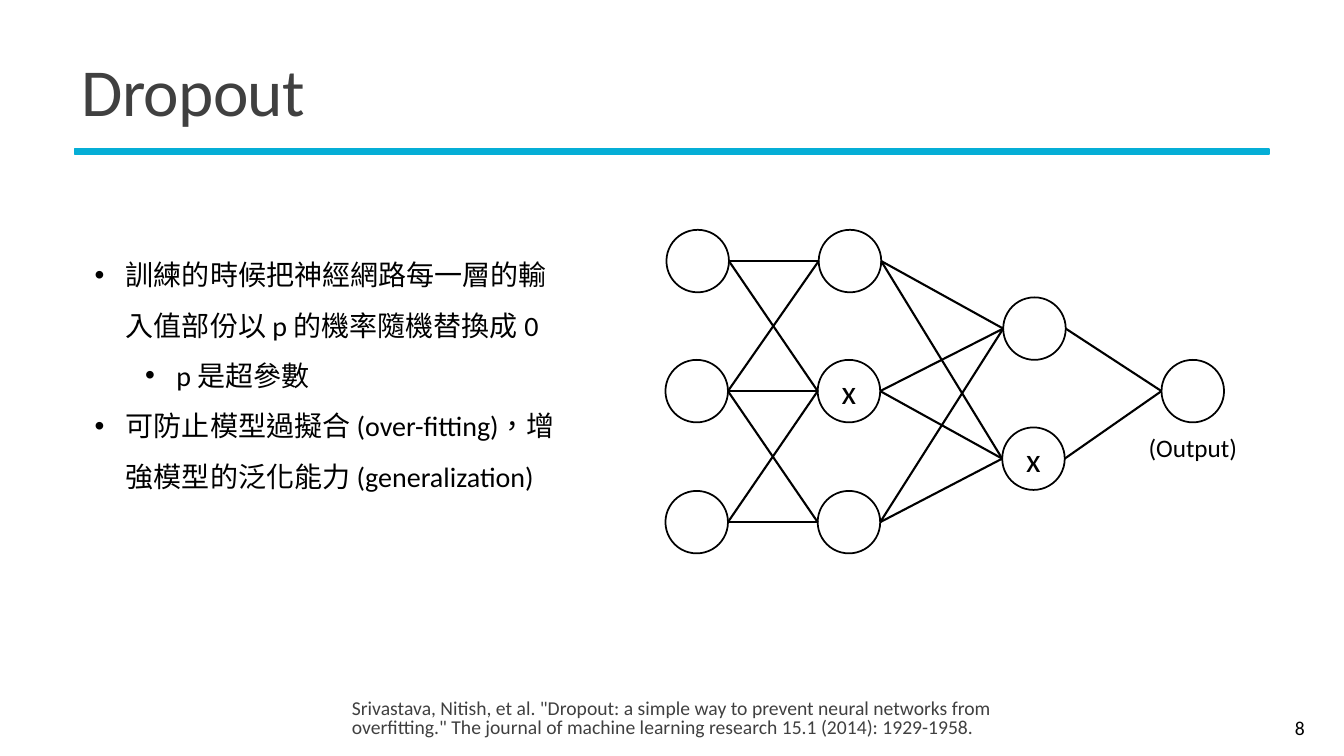
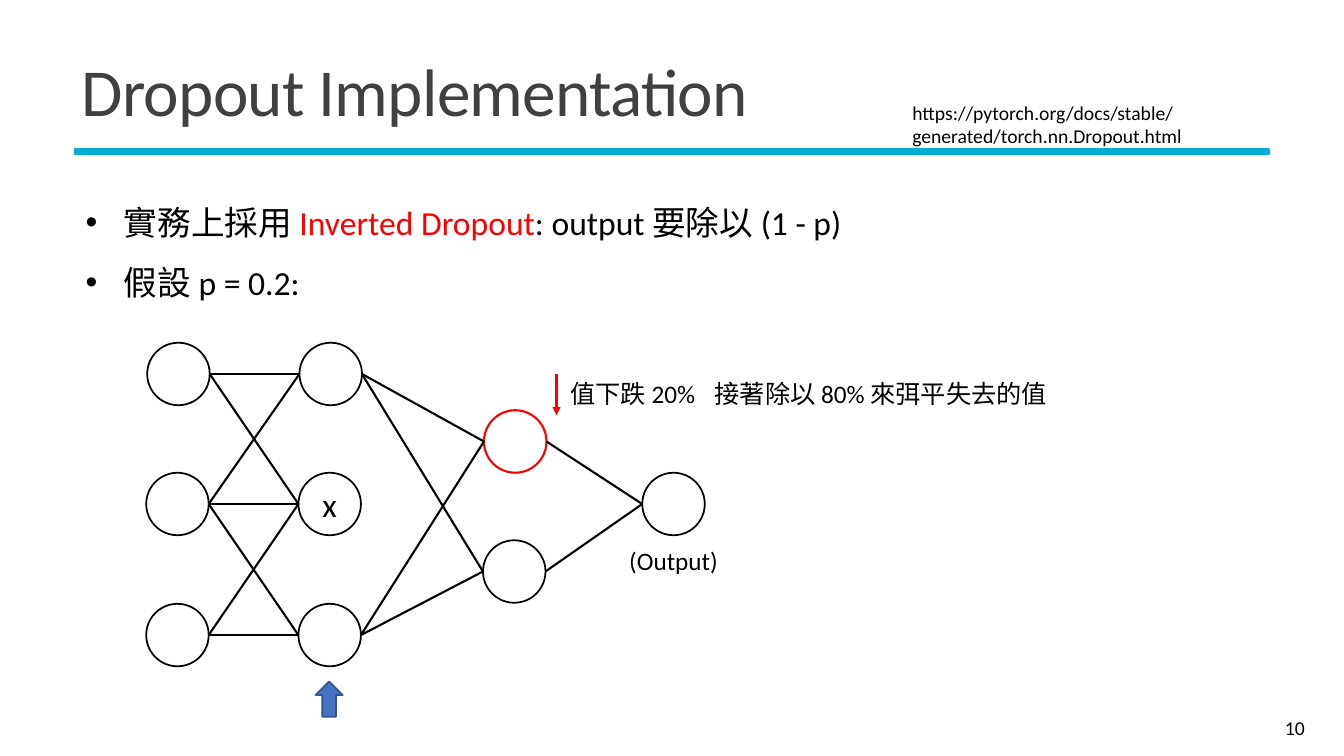
from lxml import etree
from pptx import Presentation
from pptx.dml.color import RGBColor
from pptx.enum.shapes import MSO_CONNECTOR, MSO_SHAPE
from pptx.enum.text import MSO_ANCHOR as ANCHOR, PP_ALIGN as ALIGN
from pptx.oxml.ns import qn
from pptx.util import Pt

PX = 9144  # 100 px to the inch
FONT, CJK_FONT = "Calibri", "Noto Sans CJK TC"
BLACK, GREY, RED = "000000", "404040", "FF0000"
CYAN, BLUE, NAVY = "05AED6", "4472C4", "325491"
D = 62  # node diameter
rgb = RGBColor.from_string


def text(s, box, paras, size, color=BLACK, align=ALIGN.LEFT, anchor=ANCHOR.TOP,
         inset=10, spacing=None, indents=None, tracking=None):
    """Each paragraph is a list of (text, format) runs; indents are (left, hanging) per bullet."""
    tf = s.shapes.add_textbox(*(v * PX for v in box)).text_frame
    tf.word_wrap = True
    tf.vertical_anchor = anchor
    tf.margin_left = tf.margin_right = inset * PX
    for i, runs in enumerate(paras):
        p = tf.paragraphs[0] if i == 0 else tf.add_paragraph()
        p.alignment = align
        if spacing:
            p.line_spacing = spacing
        if indents:
            left, hanging = indents[i]
            pPr = p._p.get_or_add_pPr()
            pPr.set("marL", str(left * PX))
            pPr.set("indent", str(-hanging * PX))
            etree.SubElement(pPr, qn("a:buFont"), typeface="Arial")
            etree.SubElement(pPr, qn("a:buChar"), char="•")
        for content, fmt in runs:
            r = p.add_run()
            r.text = content
            for name, value in {"size": Pt(size), "name": fmt.get("name", FONT)}.items():
                setattr(r.font, name, value)
            r.font.color.rgb = rgb(fmt.get("color", color))
            rPr = r._r.get_or_add_rPr()
            rPr.set("lang", "zh-TW")
            if tracking:
                rPr.set("spc", str(tracking))


def line(s, start, end, color=BLACK, arrow=False):
    c = s.shapes.add_connector(MSO_CONNECTOR.STRAIGHT, *(v * PX for v in (*start, *end)))
    c.line.color.rgb = rgb(color)
    c.line.width = Pt(1.5)
    if arrow:
        etree.SubElement(c.line._get_or_add_ln(), qn("a:tailEnd"), type="triangle")
    etree.SubElement(c._element.spPr, qn("a:effectLst"))


# Node places, relative to the network's corner
nodes = {
    "in1": (1, 0), "in2": (0, 129), "in3": (0, 259),
    "hid1": (152, 0), "hid2": (151, 129), "hid3": (151, 259),
    "top": (335, 67), "bottom": (334, 196), "out": (492, 129),
}
edges = [
    ("in1", "hid1"), ("in1", "hid2"), ("in2", "hid1"), ("in2", "hid2"),
    ("in2", "hid3"), ("in3", "hid2"), ("in3", "hid3"),
    ("hid1", "top"), ("hid1", "bottom"), ("hid2", "top"), ("hid2", "bottom"),
    ("hid3", "top"), ("hid3", "bottom"), ("top", "out"), ("bottom", "out"),
]
pages = [
    {"title": "Dropout", "number": "8", "corner": (660, 228),
     "dropped": ["hid2", "bottom"], "cut": [], "red": None},
    {"title": "Dropout Implementation", "number": "10", "corner": (145, 340),
     "dropped": ["hid2"], "cut": [("hid2", "top"), ("hid2", "bottom")], "red": "top"},
]

prs = Presentation()
prs.slide_width, prs.slide_height = 1333 * PX, 750 * PX
slides = []

for page in pages:
    s = prs.slides.add_slide(prs.slide_layouts[6])
    slides.append(s)
    x0, y0 = page["corner"]
    at = {name: (x0 + x, y0 + y) for name, (x, y) in nodes.items()}

    # Preset shapes: kind, box, fill, line colour, line width
    shapes = [(MSO_SHAPE.RECTANGLE, (74, 148, 1185, 5), CYAN, CYAN, 1.25)]
    for name, corner in at.items():
        color, width = (RED, 1.5) if name == page["red"] else (BLACK, 1.25)
        shapes.append((MSO_SHAPE.OVAL, (*corner, D, D), None, color, width))
    if page["red"]:
        shapes.append((MSO_SHAPE.UP_ARROW, (313, 676, 27, 35), BLUE, NAVY, 1.25))
    for kind, box, fill, color, width in shapes:
        sp = s.shapes.add_shape(kind, *(v * PX for v in box))
        sp.shadow.inherit = False
        if fill:
            sp.fill.solid()
            sp.fill.fore_color.rgb = rgb(fill)
        else:
            sp.fill.background()
        sp.line.color.rgb = rgb(color)
        sp.line.width = Pt(width)

    for a, b in edges:
        if (a, b) not in page["cut"]:
            line(s, (at[a][0] + D, at[a][1] + D // 2), (at[b][0], at[b][1] + D // 2))
    for name in page["dropped"]:
        text(s, (*at[name], D, D), [[("x", {})]], 24, align=ALIGN.CENTER, anchor=ANCHOR.MIDDLE)
    out_x, out_y = at["out"]
    text(s, (out_x - 30, out_y + 67, 122, 40), [[("(Output)", {})]], 18, align=ALIGN.CENTER)

    text(s, (71, 39, 1194, 113), [[(page["title"], {})]], 48, GREY,
         anchor=ANCHOR.MIDDLE, spacing=0.85, tracking=-50)
    text(s, (1161, 702, 143, 40), [[(page["number"], {})]], 14,
         align=ALIGN.RIGHT, anchor=ANCHOR.MIDDLE)

dropout, implementation = slides

text(dropout, (84, 234, 491, 257), [
    [("訓練的時候把神經網路每一層的輸入值部份以 p 的機率隨機替換成 0", {})],
    [("p 是超參數", {})],
    [("可防止模型過擬合 (over-fitting)，增強模型的泛化能力 (generalization)", {})],
], 20, spacing=1.5, indents=[(31, 31), (81, 31), (31, 31)])
text(dropout, (349, 690, 655, 51), [[(
    'Srivastava, Nitish, et al. "Dropout: a simple way to prevent neural networks from '
    'overfitting." The journal of machine learning research 15.1 (2014): 1929-1958.', {})]],
    14, GREY, inset=0, spacing=0.8)

text(implementation, (75, 175, 1194, 125), [
    [("實務上採用 ", {}), ("Inverted Dropout", {"color": RED}), (": output 要除以 (1 - p)", {})],
    [("假設 p = 0.2:", {})],
], 24, spacing=1.5, indents=[(38, 38)] * 2)
line(implementation, (552, 371), (552, 412), RED, arrow=True)
cjk = {"name": CJK_FONT}
text(implementation, (556, 370, 160, 40), [[("值下跌 ", cjk), ("20%", {})]], 18)
text(implementation, (699, 370, 397, 40),
     [[("接著除以 ", cjk), ("80% ", {}), ("來弭平失去的值", cjk)]], 18)
text(implementation, (895, 95, 370, 57),
     [[("https://pytorch.org/docs/stable/generated/torch.nn.Dropout.html", {})]], 14)

prs.save("out.pptx")
